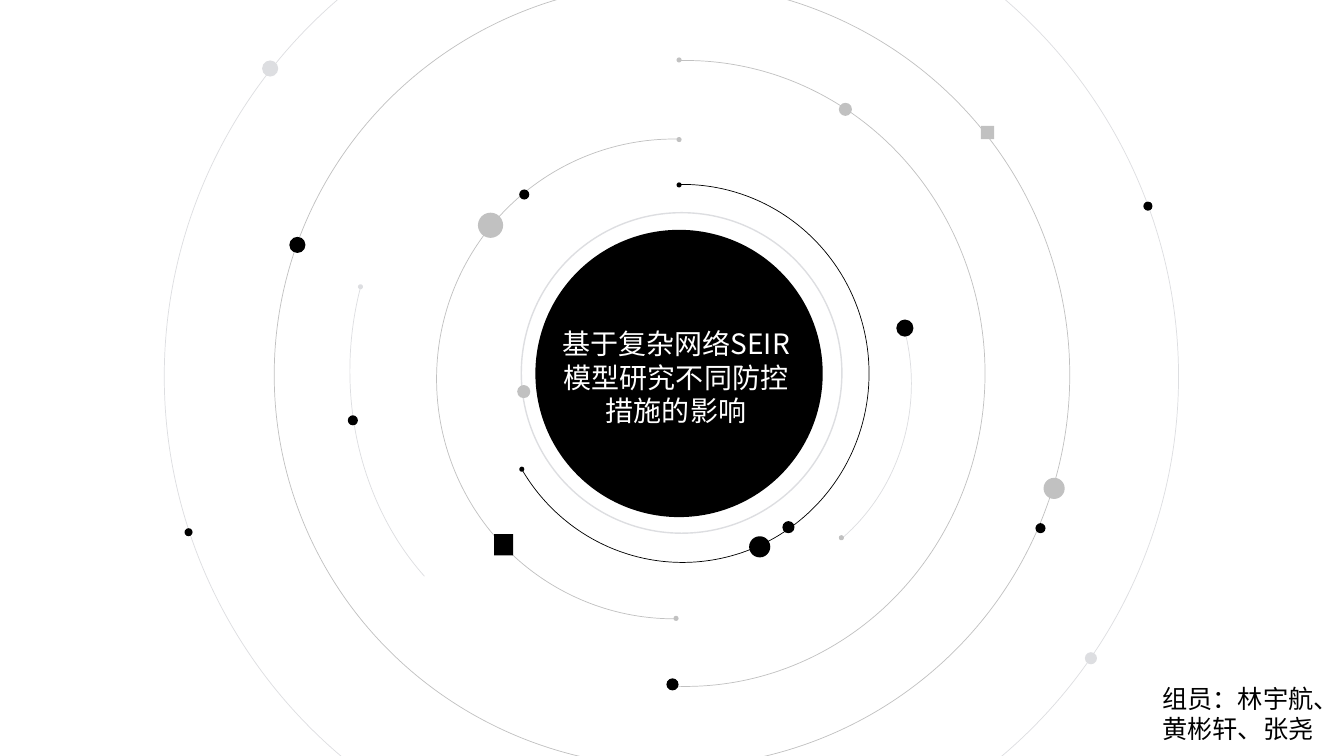
"""Build a title slide with orbits and dots around a dark disc."""
import dataclasses
import typing

import pptx
import pptx.dml.color
import pptx.enum.shapes
import pptx.enum.text
import pptx.util

Inches = pptx.util.Inches
Kind = pptx.enum.shapes.MSO_SHAPE
Align = pptx.enum.text.PP_ALIGN


@dataclasses.dataclass(frozen=True)
class Theme:
    black: str = "000000"
    gray: str = "C1C1C1"
    pale: str = "DDDEE1"
    white: str = "FFFFFF"
    font: str = "Noto Sans CJK SC"
    title: int = 20
    body: int = 18
    thin: float = 0.5
    thick: float = 1


class Orbit(typing.NamedTuple):
    left: float
    top: float
    width: float
    height: float
    start: float
    end: float
    color: str


class Dot(typing.NamedTuple):
    left: float
    top: float
    size: float
    color: str


THEME = Theme()
BLACK, GRAY, PALE = THEME.black, THEME.gray, THEME.pale
TIP = 0.05

ORBITS = [
    Orbit(4.33, 1.38, 4.71, 4.76, 89.5, 271, GRAY),
    Orbit(3.83, 0.6, 5.94, 6.21, 269.1, 92.7, GRAY),
    Orbit(3.47, 0.88, 4.71, 5.6, 128.4, 200.5, PALE),
    Orbit(4.92, 1.83, 3.7, 3.75, 268.9, 149, BLACK),
    Orbit(2.72, -0.17, 7.89, 7.78, 92.9, 92.7, GRAY),
    Orbit(1.63, -1.23, 10.06, 9.93, 92.9, 92.7, PALE),
    Orbit(5.33, 1.83, 3.71, 3.95, 344.1, 52.8, PALE),
]

DOTS = [
    Dot(6.71, 1.36, TIP, GRAY),
    Dot(6.68, 6.11, TIP, GRAY),
    Dot(6.71, 0.57, TIP, GRAY),
    Dot(3.55, 2.82, TIP, PALE),
    Dot(6.71, 1.81, TIP, BLACK),
    Dot(5.15, 4.63, TIP, BLACK),
    Dot(8.32, 5.31, TIP, GRAY),
    Dot(7.43, 5.32, 0.21, BLACK),
    Dot(7.76, 5.17, 0.12, BLACK),
    Dot(6.61, 6.73, 0.12, BLACK),
    Dot(10.27, 5.19, 0.1, BLACK),
    Dot(10.35, 4.74, 0.21, GRAY),
    Dot(10.76, 6.47, 0.12, PALE),
    Dot(3.45, 4.12, 0.1, BLACK),
    Dot(5.13, 3.82, 0.13, GRAY),
    Dot(4.74, 2.11, 0.25, GRAY),
    Dot(2.87, 2.35, 0.16, BLACK),
    Dot(2.6, 0.6, 0.16, PALE),
    Dot(8.32, 1.02, 0.13, GRAY),
    Dot(5.15, 1.88, 0.1, BLACK),
    Dot(11.34, 2, 0.09, BLACK),
    Dot(1.83, 5.24, 0.08, BLACK),
    Dot(5.31, 2.28, 2.85, BLACK),
    Dot(8.89, 3.17, 0.17, BLACK),
]


def paint(code: str) -> pptx.dml.color.RGBColor:
    return pptx.dml.color.RGBColor.from_string(code)


def draw(slide, kind, left: float, top: float, width: float, height: float,
         fill: str = "", line: str = "", weight: float = THEME.thin):
    shape = slide.shapes.add_shape(
        kind, Inches(left), Inches(top), Inches(width), Inches(height))
    shape.shadow.inherit = False
    if fill:
        shape.fill.solid()
        shape.fill.fore_color.rgb = paint(fill)
    else:
        shape.fill.background()
    if line:
        shape.line.color.rgb = paint(line)
        shape.line.width = pptx.util.Pt(weight)
    else:
        shape.line.fill.background()
    return shape


def draw_orbit(slide, orbit: Orbit) -> None:
    arc = draw(slide, Kind.ARC, *orbit[:4], line=orbit.color)
    arc.adjustments[0] = orbit.start * 0.6
    arc.adjustments[1] = orbit.end * 0.6


def draw_dot(slide, dot: Dot) -> None:
    draw(slide, Kind.OVAL, dot.left, dot.top, dot.size, dot.size, fill=dot.color)


def write(box, text: str, *, left: float, top: float, width: float,
          height: float, size: int, color: str, align=Align.LEFT) -> None:
    box.left, box.top = Inches(left), Inches(top)
    box.width, box.height = Inches(width), Inches(height)
    frame = box.text_frame
    frame.text = text
    frame.word_wrap = True
    frame.auto_size = pptx.enum.text.MSO_AUTO_SIZE.NONE
    frame.vertical_anchor = pptx.enum.text.MSO_ANCHOR.TOP
    line = frame.paragraphs[0]
    line.alignment = align
    font = line.runs[0].font
    font.name = THEME.font
    font.size = pptx.util.Pt(size)
    font.color.rgb = paint(color)


def main() -> None:
    deck = pptx.Presentation()
    deck.slide_width, deck.slide_height = Inches(13.33), Inches(7.5)
    slide = deck.slides.add_slide(deck.slide_layouts[5])
    for orbit in ORBITS:
        draw_orbit(slide, orbit)
    draw(slide, Kind.OVAL, 5.17, 2.11, 3.18, 3.18, line=PALE, weight=THEME.thick)
    for dot in DOTS:
        draw_dot(slide, dot)
    draw(slide, Kind.RECTANGLE, 4.9, 5.3, 0.19, 0.21, fill=BLACK)
    draw(slide, Kind.RECTANGLE, 9.73, 1.25, 0.13, 0.13, fill=GRAY)

    title = slide.shapes.title
    title.element.getparent().append(title.element)
    write(title, "基于复杂网络SEIR模型研究不同防控措施的影响",
          left=5.47, top=3.19, width=2.47, height=1.11,
          size=THEME.title, color=THEME.white, align=Align.CENTER)
    team = slide.shapes.add_textbox(0, 0, 0, 0)
    write(team, "组员：林宇航、黄彬轩、张尧",
          left=11.43, top=6.73, width=1.87, height=0.71,
          size=THEME.body, color=BLACK)
    deck.save("out.pptx")


if __name__ == "__main__":
    main()
